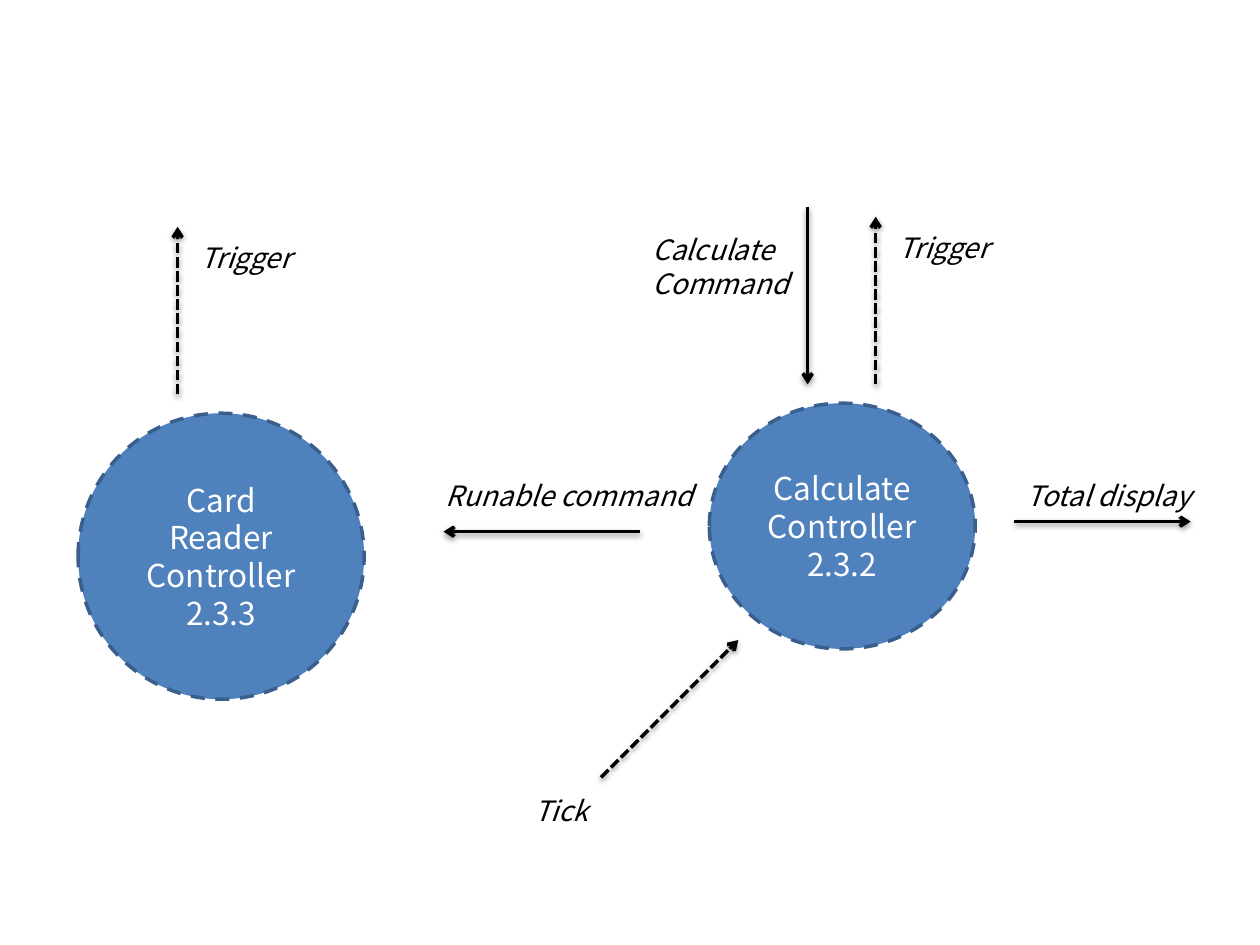
import pptx
import pptx.util
import pptx.oxml
import pptx.oxml.ns
import pptx.dml.color
import pptx.enum.dml
import pptx.enum.shapes
import pptx.enum.text

Inches, Pt = pptx.util.Inches, pptx.util.Pt
DASH = pptx.enum.dml.MSO_LINE
FONT = "Noto Sans CJK KR"
COLORS = {"fill": "4F81BD", "outline": "3A5F8C", "ink": "000000", "white": "FFFFFF"}


def rgb(name):
    return pptx.dml.color.RGBColor.from_string(COLORS[name])


def write(tf, lines, size, color, italic=False, align=None):
    for i, line in enumerate(lines):
        p = tf.paragraphs[0] if i == 0 else tf.add_paragraph()
        p.text = line
        p.alignment = align
        p.line_spacing = Pt(size * 1.2)
        p.font.name, p.font.size, p.font.italic = FONT, Pt(size), italic
        p.font.color.rgb = rgb(color)


def set_line(line, color, dash=None):
    line.color.rgb = rgb(color)
    line.width = Pt(2)
    if dash is not None:
        line.dash_style = dash


def add_process(slide, left, top, width, height, lines):
    """Dashed control-process bubble."""
    sp = slide.shapes.add_shape(pptx.enum.shapes.MSO_SHAPE.OVAL, Inches(left),
                                Inches(top), Inches(width), Inches(height))
    sp.shadow.inherit = False
    sp.fill.solid()
    sp.fill.fore_color.rgb = rgb("fill")
    set_line(sp.line, "outline", DASH.DASH)
    tf = sp.text_frame
    tf.word_wrap = True
    tf.vertical_anchor = pptx.enum.text.MSO_ANCHOR.MIDDLE
    write(tf, lines, 18, "white", align=pptx.enum.text.PP_ALIGN.CENTER)


def add_flow(slide, x1, y1, x2, y2, dashed=False):
    """Arrow with a soft shadow; dashed for control flows."""
    cx = slide.shapes.add_connector(pptx.enum.shapes.MSO_CONNECTOR.STRAIGHT,
                                    Inches(x1), Inches(y1), Inches(x2), Inches(y2))
    set_line(cx.line, "ink", DASH.SQUARE_DOT if dashed else None)
    ns = pptx.oxml.ns.nsdecls("a")
    cx.line._get_or_add_ln().append(
        pptx.oxml.parse_xml(f'<a:tailEnd {ns} type="arrow"/>'))
    cx._element.spPr.append(pptx.oxml.parse_xml(
        f'<a:effectLst {ns}><a:outerShdw blurRad="40000" dist="20000" dir="5400000" '
        f'rotWithShape="0"><a:srgbClr val="{COLORS["ink"]}"><a:alpha val="38000"/>'
        '</a:srgbClr></a:outerShdw></a:effectLst>'))


def add_label(slide, left, top, width, lines):
    height = 0.1 + 0.27 * len(lines)
    tb = slide.shapes.add_textbox(Inches(left), Inches(top), Inches(width), Inches(height))
    tb.text_frame.word_wrap = True
    write(tb.text_frame, lines, 16, "ink", italic=True)


def main():
    prs = pptx.Presentation()
    prs.slide_width, prs.slide_height = Inches(10), Inches(7.5)
    slide = prs.slides.add_slide(prs.slide_layouts[6])

    # Calculate controller and its flows
    add_process(slide, 5.63, 3.2, 2.11, 1.95, ["Calculate", "Controller", "2.3.2"])
    add_flow(slide, 8.05, 4.14, 9.45, 4.14)
    add_label(slide, 8.05, 3.75, 3.52, ["Total display"])
    add_flow(slide, 6.41, 1.64, 6.41, 3.05)
    add_label(slide, 5.08, 1.8, 1.41, ["Calculate", "Command"])
    add_flow(slide, 4.77, 6.17, 5.86, 5.08, dashed=True)
    add_label(slide, 4.14, 6.25, 1.33, ["Tick"])
    add_flow(slide, 5.08, 4.22, 3.52, 4.22)
    add_label(slide, 3.44, 3.75, 3.52, ["Runable command"])

    # Card reader controller
    add_process(slide, 0.62, 3.28, 2.27, 2.27, ["Card", "Reader", "Controller", "2.3.3"])

    # Trigger outputs of both controllers
    for x, y in ((6.95, 3.05), (1.41, 3.13)):
        add_flow(slide, x, y, x, y - 1.33, dashed=True)
        add_label(slide, x + 0.08, y - 1.27, 2.66, ["Trigger"])

    prs.save("out.pptx")


main()
